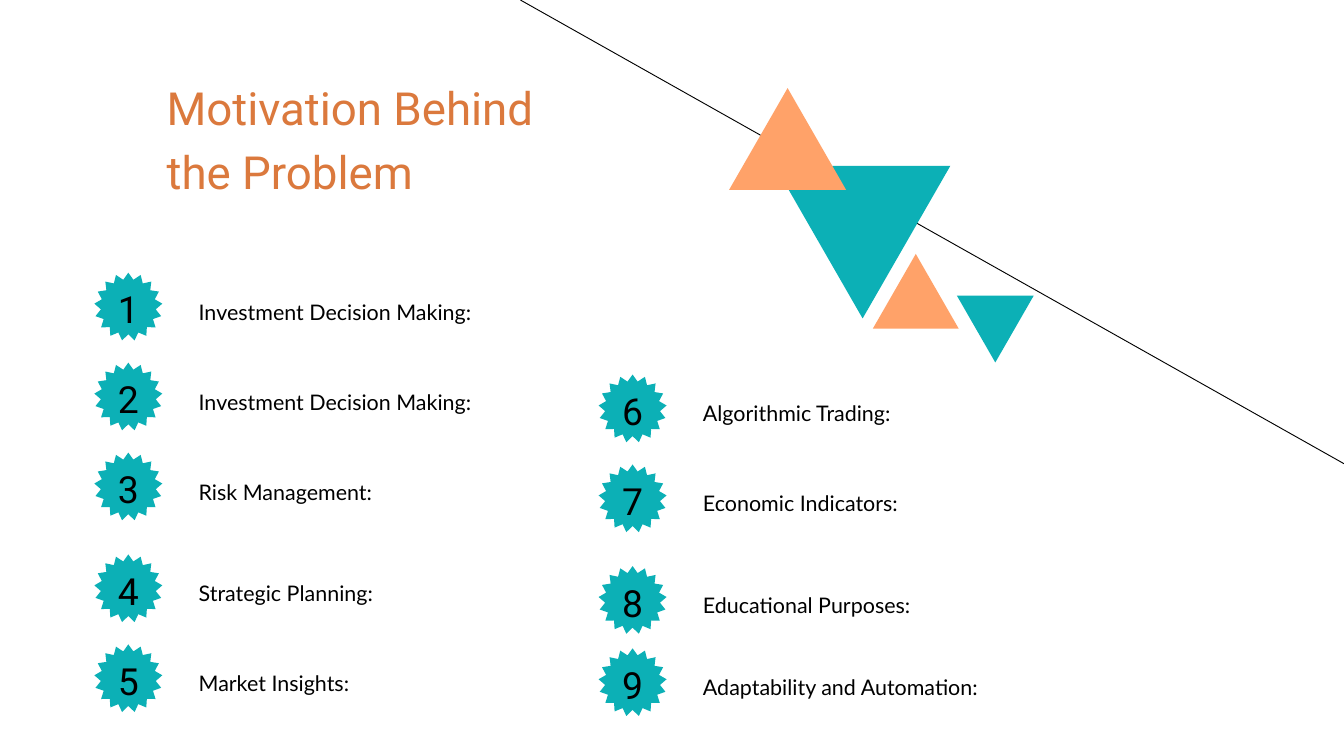
from dataclasses import dataclass
from math import cos, pi, sin

from lxml.etree import SubElement
from pptx import Presentation
from pptx.dml.color import RGBColor as Rgb
from pptx.enum.shapes import MSO_CONNECTOR as Connector, MSO_SHAPE as Shape
from pptx.enum.text import MSO_AUTO_SIZE as AutoSize, PP_ALIGN as Align
from pptx.oxml.ns import qn
from pptx.util import Cm, Pt


@dataclass(frozen=True)
class TextStyle:
    font: str
    size: float
    spacing: float
    color: Rgb
    align: Align = Align.LEFT


@dataclass(frozen=True)
class Theme:
    black: Rgb = Rgb(0x00, 0x00, 0x00)
    teal: Rgb = Rgb(0x0C, 0xB0, 0xB6)
    orange: Rgb = Rgb(0xFF, 0xA2, 0x69)
    title: TextStyle = TextStyle("Roboto", 48.9, 68.4, Rgb(0xDB, 0x79, 0x3D))
    number: TextStyle = TextStyle("Roboto", 40, 56, black, Align.CENTER)
    label: TextStyle = TextStyle("Lato", 23, 32.2, black)


class SlideBuilder:
    TRIANGLE_RATIO = 0.87
    SPIKES = 17
    OUTER_RADIUS = 1.29
    INNER_RADIUS = 1.04

    def __init__(self, slide, theme):
        self.shapes = slide.shapes
        self.theme = theme

    def line(self, x1, y1, x2, y2):
        line = self.shapes.add_connector(
            Connector.STRAIGHT, Cm(x1), Cm(y1), Cm(x2), Cm(y2))
        line.line.color.rgb = self.theme.black
        line.line.width = Pt(1)
        SubElement(line._element.spPr, qn("a:effectLst"))

    def paint(self, shape, color):
        shape.shadow.inherit = False
        shape.fill.solid()
        shape.fill.fore_color.rgb = color
        shape.line.fill.background()

    def triangle(self, left, top, width, color, rotation=0):
        triangle = self.shapes.add_shape(
            Shape.ISOSCELES_TRIANGLE, Cm(left), Cm(top),
            Cm(width), Cm(width * self.TRIANGLE_RATIO))
        triangle.rotation = rotation
        self.paint(triangle, color)

    def seal(self, left, top):
        """Draw a star whose points alternate between two radii."""
        points = []
        for i in range(2 * self.SPIKES):
            radius = self.INNER_RADIUS if i % 2 else self.OUTER_RADIUS
            angle = i * pi / self.SPIKES
            points.append((Cm(left + self.OUTER_RADIUS + radius * sin(angle)),
                           Cm(top + self.OUTER_RADIUS - radius * cos(angle))))
        outline = self.shapes.build_freeform(*points[0])
        outline.add_line_segments(points[1:], close=True)
        self.paint(outline.convert_to_shape(), self.theme.teal)

    def text(self, content, left, top, width, height, style):
        box = self.shapes.add_textbox(Cm(left), Cm(top), Cm(width), Cm(height))
        frame = box.text_frame
        frame.word_wrap = True
        frame.auto_size = AutoSize.SHAPE_TO_FIT_TEXT
        frame.margin_left = frame.margin_right = 0
        frame.margin_top = frame.margin_bottom = 0
        paragraph = frame.paragraphs[0]
        paragraph.alignment = style.align
        paragraph.line_spacing = Pt(style.spacing)
        run = paragraph.add_run()
        run.text = content
        run.font.name = style.font
        run.font.size = Pt(style.size)
        run.font.color.rgb = style.color

    def motivation(self, number, label, left, top):
        self.seal(left, top)
        self.text(str(number), left - 0.14, top + 0.24, 2.87, 1.88, self.theme.number)
        self.text(label, left + 3.95, top + 0.82, 11.81, 1.09, self.theme.label)


LEFT_COLUMN, RIGHT_COLUMN = 3.56, 22.62
MOTIVATIONS = [
    ("Investment Decision Making:", LEFT_COLUMN, 10.31),
    ("Investment Decision Making:", LEFT_COLUMN, 13.71),
    ("Risk Management:", LEFT_COLUMN, 17.11),
    ("Strategic Planning:", LEFT_COLUMN, 20.96),
    ("Market Insights:", LEFT_COLUMN, 24.36),
    ("Algorithmic Trading:", RIGHT_COLUMN, 14.16),
    ("Economic Indicators:", RIGHT_COLUMN, 17.56),
    ("Educational Purposes:", RIGHT_COLUMN, 21.4),
    ("Adaptability and Automation:", RIGHT_COLUMN, 24.51),
]


def main():
    deck = Presentation()
    deck.slide_width, deck.slide_height = Cm(50.8), Cm(28.58)
    theme = Theme()
    builder = SlideBuilder(deck.slides.add_slide(deck.slide_layouts[6]), theme)

    builder.line(19.67, 0, 50.8, 17.53)
    builder.triangle(29.29, 6.27, 6.63, theme.teal, rotation=180)
    builder.triangle(27.56, 3.33, 4.42, theme.orange)
    builder.triangle(36.17, 11.18, 2.9, theme.teal, rotation=180)
    builder.triangle(32.99, 9.6, 3.25, theme.orange)

    builder.text("Motivation Behind the Problem", 6.3, 2.67, 16.18, 4.72, theme.title)
    for number, (label, left, top) in enumerate(MOTIVATIONS, start=1):
        builder.motivation(number, label, left, top)

    deck.save("out.pptx")


if __name__ == "__main__":
    main()
